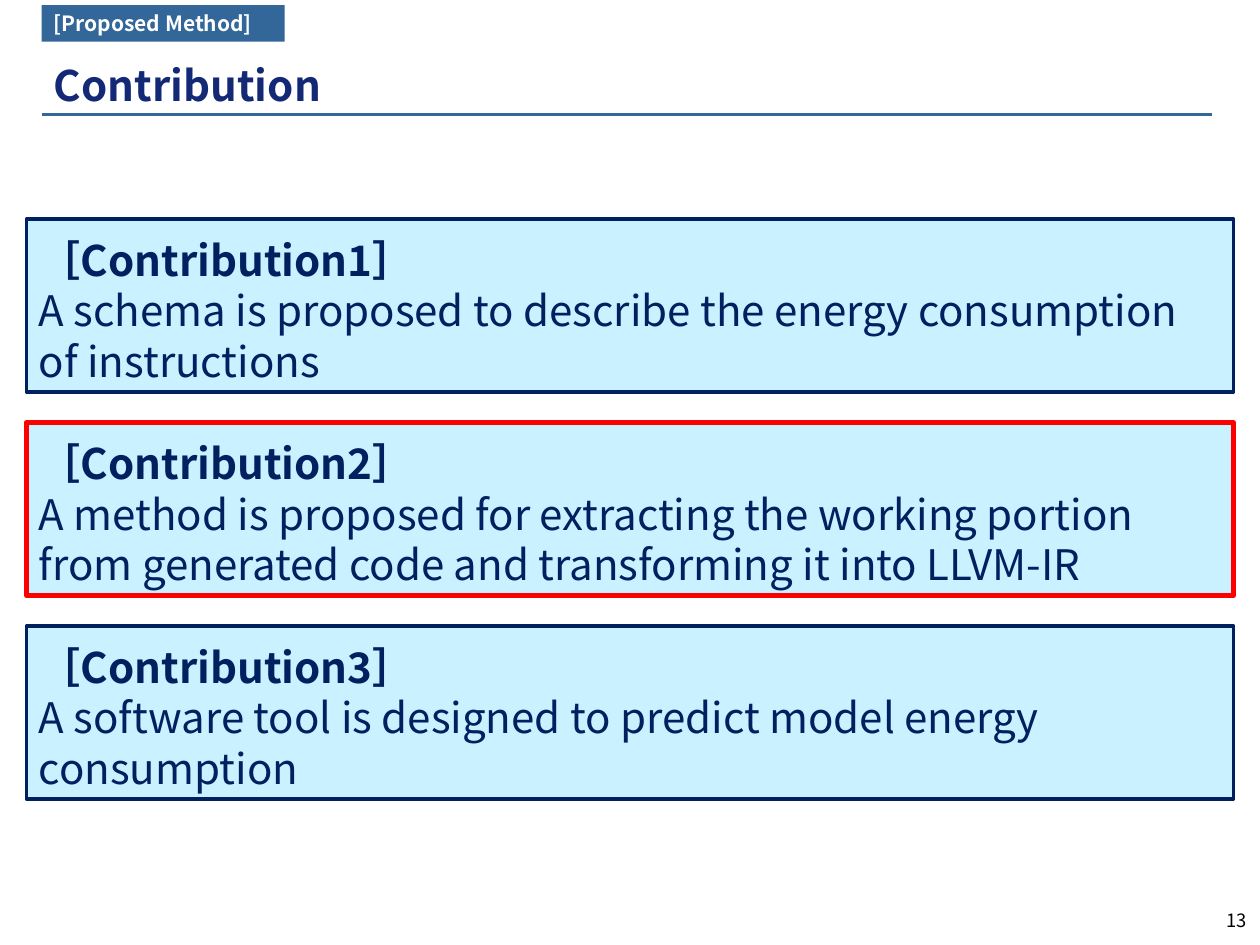
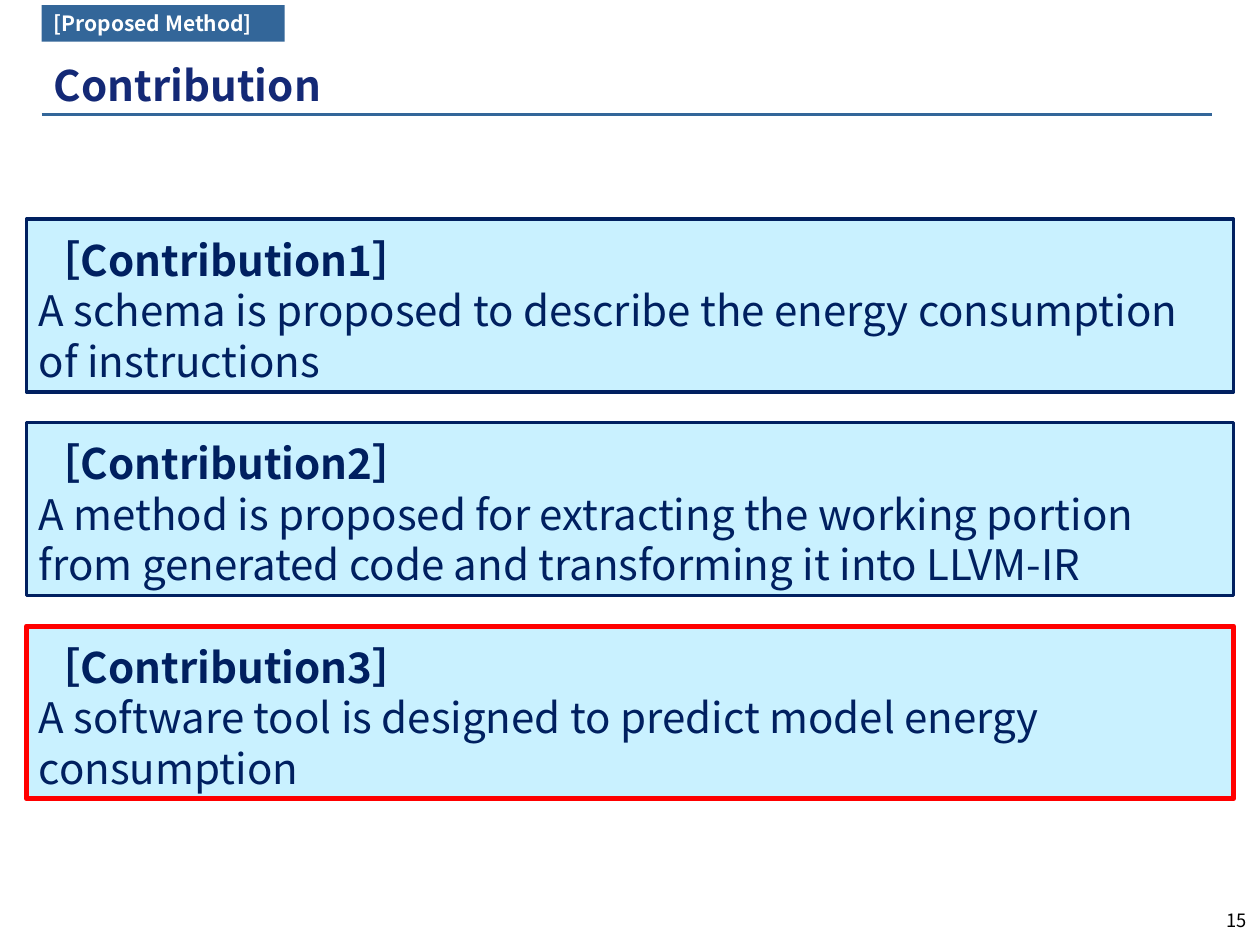
from lxml import etree
from pptx import Presentation
from pptx.dml.color import RGBColor
from pptx.enum.shapes import MSO_CONNECTOR, MSO_SHAPE
from pptx.enum.text import MSO_ANCHOR, PP_ALIGN
from pptx.oxml.ns import qn
from pptx.util import Inches, Pt

FONT = "Noto Sans CJK JP"
BAND_BLUE = RGBColor(0x33, 0x66, 0x99)
TITLE_BLUE = RGBColor(0x14, 0x29, 0x76)
NAVY = RGBColor(0x00, 0x20, 0x60)
PALE_BLUE = RGBColor(0xC9, 0xF1, 0xFF)
RED = RGBColor(0xFF, 0x00, 0x00)
WHITE = RGBColor(0xFF, 0xFF, 0xFF)
BLACK = RGBColor(0x00, 0x00, 0x00)

MARGIN = 0.33
CARD_TOP, CARD_PITCH = 1.74, 1.615
CONTRIBUTIONS = [
    "A schema is proposed to describe the energy consumption of instructions",
    "A method is proposed for extracting the working portion "
    "from generated code and transforming it into LLVM-IR",
    "A software tool is designed to predict model energy consumption",
]
# Page number and the contribution that is highlighted on it
PAGES = [(13, 2), (15, 3)]


def write(shape, text, size, color, bold=False, align=PP_ALIGN.LEFT,
          anchor=MSO_ANCHOR.TOP):
    frame = shape.text_frame
    frame.word_wrap = True
    frame.vertical_anchor = anchor
    paragraph = frame.paragraphs[0]
    paragraph.text = text
    paragraph.alignment = align
    for run in paragraph.runs:
        run.font.name = FONT
        run.font.size = Pt(size)
        run.font.bold = bold
        run.font.color.rgb = color
        east_asian = etree.SubElement(run.font._element, qn("a:ea"))
        east_asian.set("typeface", FONT)
    return paragraph


def add_label(slide, left, top, width, height, text, size, color, **style):
    label = slide.shapes.add_textbox(
        Inches(left), Inches(top), Inches(width), Inches(height))
    write(label, text, size, color, **style)


def add_box(slide, left, top, width, height, fill):
    box = slide.shapes.add_shape(
        MSO_SHAPE.RECTANGLE,
        Inches(left), Inches(top), Inches(width), Inches(height))
    box.shadow.inherit = False
    box.fill.solid()
    box.fill.fore_color.rgb = fill
    box.line.fill.background()
    return box


def add_title_rule(slide):
    rule = slide.shapes.add_connector(
        MSO_CONNECTOR.STRAIGHT,
        Inches(MARGIN), Inches(0.91), Inches(9.62), Inches(0.91))
    rule.line.color.rgb = BAND_BLUE
    rule.line.width = Pt(1.5)
    etree.SubElement(rule._element.spPr, qn("a:effectLst"))


def add_frame(slide, section, title, page):
    """Add what every slide shares: rule, title, page number, section band."""
    add_title_rule(slide)
    add_label(slide, MARGIN, 0.42, 8.5, 0.5, title, 24, TITLE_BLUE,
              bold=True, anchor=MSO_ANCHOR.MIDDLE)
    add_label(slide, 9.33, 7.17, 0.66, 0.33, str(page), 10.5, BLACK,
              align=PP_ALIGN.RIGHT)
    band = add_box(slide, MARGIN, 0.04, 1.93, 0.29, BAND_BLUE)
    write(band, section, 12, WHITE, bold=True, anchor=MSO_ANCHOR.MIDDLE)


def add_contribution(slide, number, statement, highlighted):
    top = CARD_TOP + (number - 1) * CARD_PITCH
    card = add_box(slide, 0.21, top, 9.58, 1.37, PALE_BLUE)
    card.line.color.rgb = RED if highlighted else NAVY
    card.line.width = Pt(3 if highlighted else 2)
    card.text_frame.margin_top = Inches(0.12)
    paragraph = write(card, f"［Contribution{number}］\v{statement}", 24, NAVY)
    paragraph.space_before = Pt(4.8)
    paragraph.runs[0].font.bold = True


def main():
    deck = Presentation()
    deck.slide_width, deck.slide_height = Inches(10), Inches(7.5)
    for page, highlighted in PAGES:
        slide = deck.slides.add_slide(deck.slide_layouts[6])
        add_frame(slide, "[Proposed Method]", "Contribution", page)
        for number, statement in enumerate(CONTRIBUTIONS, start=1):
            add_contribution(slide, number, statement, number == highlighted)
    deck.save("out.pptx")


if __name__ == "__main__":
    main()
